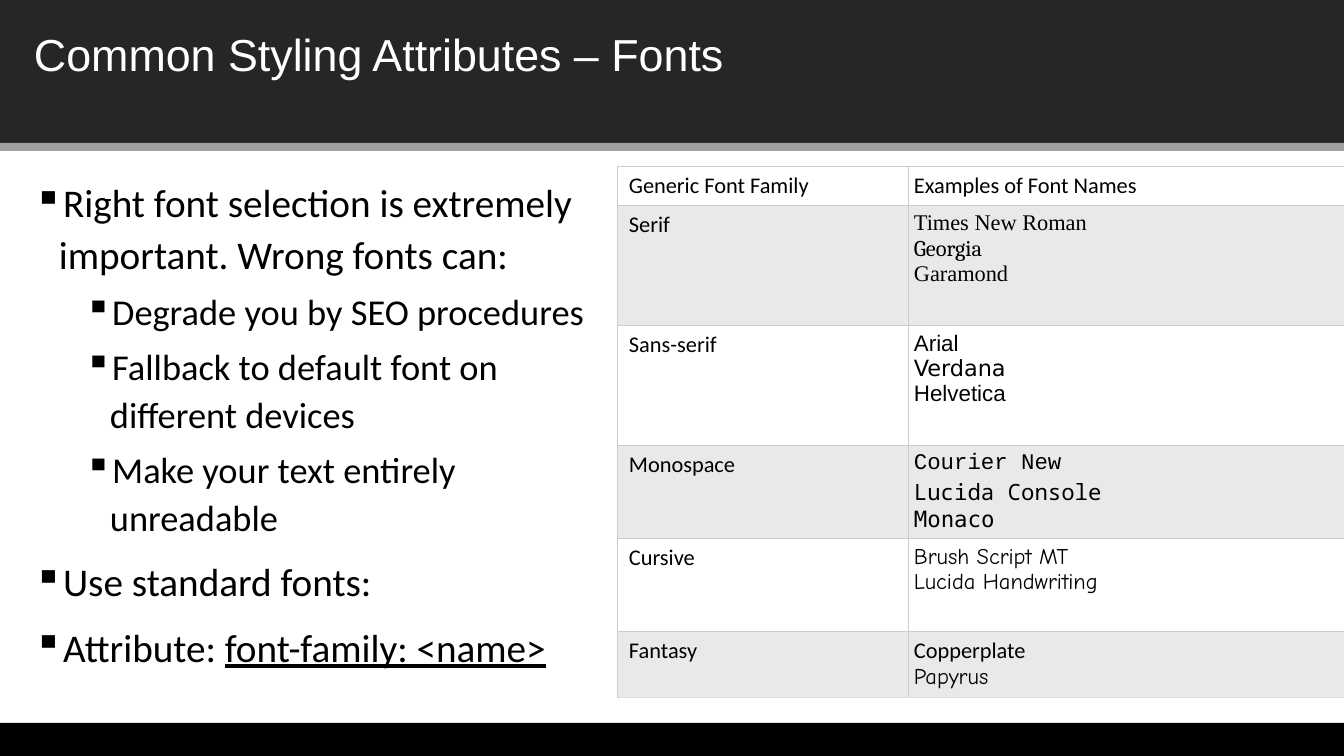
from dataclasses import dataclass
from lxml.etree import SubElement
from pptx import Presentation
from pptx.dml.color import RGBColor
from pptx.enum.shapes import MSO_SHAPE
from pptx.enum.text import MSO_ANCHOR, PP_ALIGN
from pptx.oxml import parse_xml
from pptx.oxml.ns import nsdecls, qn
from pptx.util import Pt

EMU_PER_PX = 914400 / 100.8


@dataclass(frozen=True)
class Theme:
    header: str = "262626"
    rule: str = "9F9F9F"
    footer: str = "000000"
    ink: str = "000000"
    title_ink: str = "FFFFFF"
    plain_row: str = "FFFFFF"
    shaded_row: str = "E7E9EB"
    border: str = "CCCCCC"
    last_border: str = "DDDDDD"
    title_font: str = "Arial"
    body_font: str = "Calibri"
    title_size: int = 32
    point_size: int = 28
    subpoint_size: int = 26
    table_size: int = 16
    border_width: float = 0.6


THEME = Theme()

POINTS = [
    (0, [("Right font selection is extremely important. Wrong fonts can:", False)]),
    (1, [("Degrade you by SEO procedures", False)]),
    (1, [("Fallback to default font on different devices", False)]),
    (1, [("Make your text entirely unreadable", False)]),
    (0, [("Use standard fonts:", False)]),
    (0, [("Attribute: ", False), ("font-family: <name>", True)]),
]
LEVELS = [
    {"size": THEME.point_size, "margin": 25, "space": 10},
    {"size": THEME.subpoint_size, "margin": 76, "space": 5},
]
HANGING = 25

FAMILIES = [
    (39, "Generic Font Family", [("Examples of Font Names", THEME.body_font)]),
    (120, "Serif", [("Times New Roman", "Times New Roman"), ("Georgia", "Cambria"),
                    ("Garamond", "Times New Roman")]),
    (120, "Sans-serif", [("Arial", "Arial"), ("Verdana", "DejaVu Sans"),
                         ("Helvetica", "Arial")]),
    (93, "Monospace", [("Courier New", "Courier New"),
                       ("Lucida Console", "Noto Sans Mono"),
                       ("Monaco", "DejaVu Sans Mono")]),
    (93, "Cursive", [("Brush Script MT", "Comic Neue"),
                     ("Lucida Handwriting", "Comic Neue")]),
    (66, "Fantasy", [("Copperplate", THEME.body_font), ("Papyrus", "Comic Neue")]),
]
COLUMNS = [291, 436]


def px(length):
    return round(length * EMU_PER_PX)


def apply(target, values):
    for name, value in values.items():
        setattr(target, name, value)


def add_words(paragraph, words, size, font=THEME.body_font, color=THEME.ink, underline=False):
    run = paragraph.add_run()
    run.text = words
    apply(run.font, {"name": font, "size": Pt(size), "underline": underline})
    run.font.color.rgb = RGBColor.from_string(color)


def add_band(slide, box, color):
    band = slide.shapes.add_shape(MSO_SHAPE.RECTANGLE, *map(px, box))
    band.shadow.inherit = False
    band.fill.solid()
    band.fill.fore_color.rgb = RGBColor.from_string(color)
    band.line.fill.background()


def add_frame(slide, box):
    frame = slide.shapes.add_textbox(*map(px, box)).text_frame
    apply(frame, {"word_wrap": True, "vertical_anchor": MSO_ANCHOR.TOP})
    return frame


def add_header(slide, box):
    left, top, width, height = box
    rule_height = 8
    add_band(slide, (left, top, width, height - rule_height), THEME.header)
    title = add_frame(slide, (left + 24, top + 22, width - 50, 65)).paragraphs[0]
    add_words(title, "Common Styling Attributes – Fonts", THEME.title_size,
              THEME.title_font, THEME.title_ink)
    add_band(slide, (left, top + height - rule_height, width, rule_height), THEME.rule)


def add_bullet(paragraph, margin):
    properties = paragraph._p.get_or_add_pPr()
    properties.set("marL", str(px(margin)))
    properties.set("indent", str(-px(HANGING)))
    SubElement(properties, qn("a:buChar"), char="▪")


def add_points(slide, box):
    frame = add_frame(slide, box)
    for index, (level, pieces) in enumerate(POINTS):
        point = frame.add_paragraph() if index else frame.paragraphs[0]
        style = LEVELS[level]
        add_bullet(point, style["margin"])
        apply(point, {"level": level, "line_spacing": 1.1, "alignment": PP_ALIGN.LEFT,
                      "space_before": Pt(style["space"] if index else 0)})
        for words, underline in pieces:
            add_words(point, words, style["size"], underline=underline)


def style_cell(cell, left_margin, fill, bottom_border):
    apply(cell, {"margin_left": px(left_margin), "margin_right": px(6),
                 "margin_top": px(6), "margin_bottom": px(6),
                 "vertical_anchor": MSO_ANCHOR.TOP})
    cell.fill.solid()
    cell.fill.fore_color.rgb = RGBColor.from_string(fill)
    edges = {"lnL": THEME.border, "lnR": THEME.border,
             "lnT": THEME.border, "lnB": bottom_border}
    for position, (edge, color) in enumerate(edges.items()):
        cell._tc.get_or_add_tcPr().insert(position, parse_xml(
            f'<a:{edge} {nsdecls("a")} w="{Pt(THEME.border_width)}"><a:solidFill>'
            f'<a:srgbClr val="{color}"/></a:solidFill></a:{edge}>'))


def add_families(slide, box):
    table = slide.shapes.add_table(len(FAMILIES), len(COLUMNS), *map(px, box)).table
    apply(table, {"first_row": False, "horz_banding": False})
    for column, width in zip(table.columns, COLUMNS):
        column.width = px(width)
    for index, (height, family, examples) in enumerate(FAMILIES):
        table.rows[index].height = px(height)
        fill = THEME.shaded_row if index % 2 else THEME.plain_row
        is_last = index == len(FAMILIES) - 1
        bottom_border = THEME.last_border if is_last else THEME.border
        family_cell, example_cell = table.rows[index].cells
        style_cell(family_cell, 12, fill, bottom_border)
        style_cell(example_cell, 6, fill, bottom_border)
        add_words(family_cell.text_frame.paragraphs[0], family, THEME.table_size)
        names = example_cell.text_frame.paragraphs[0]
        for order, (name, font) in enumerate(examples):
            if order:
                names.add_line_break()
            add_words(names, name, THEME.table_size, font)


def main():
    presentation = Presentation()
    apply(presentation, {"slide_width": px(1344), "slide_height": px(756)})
    slide = presentation.slides.add_slide(presentation.slide_layouts[6])
    add_header(slide, (0, 0, 1344, 151))
    add_band(slide, (0, 723, 1344, 33), THEME.footer)
    add_points(slide, (24, 169, 593, 539))
    add_families(slide, (617, 166, sum(COLUMNS), sum(row[0] for row in FAMILIES)))
    presentation.save("out.pptx")


if __name__ == "__main__":
    main()
